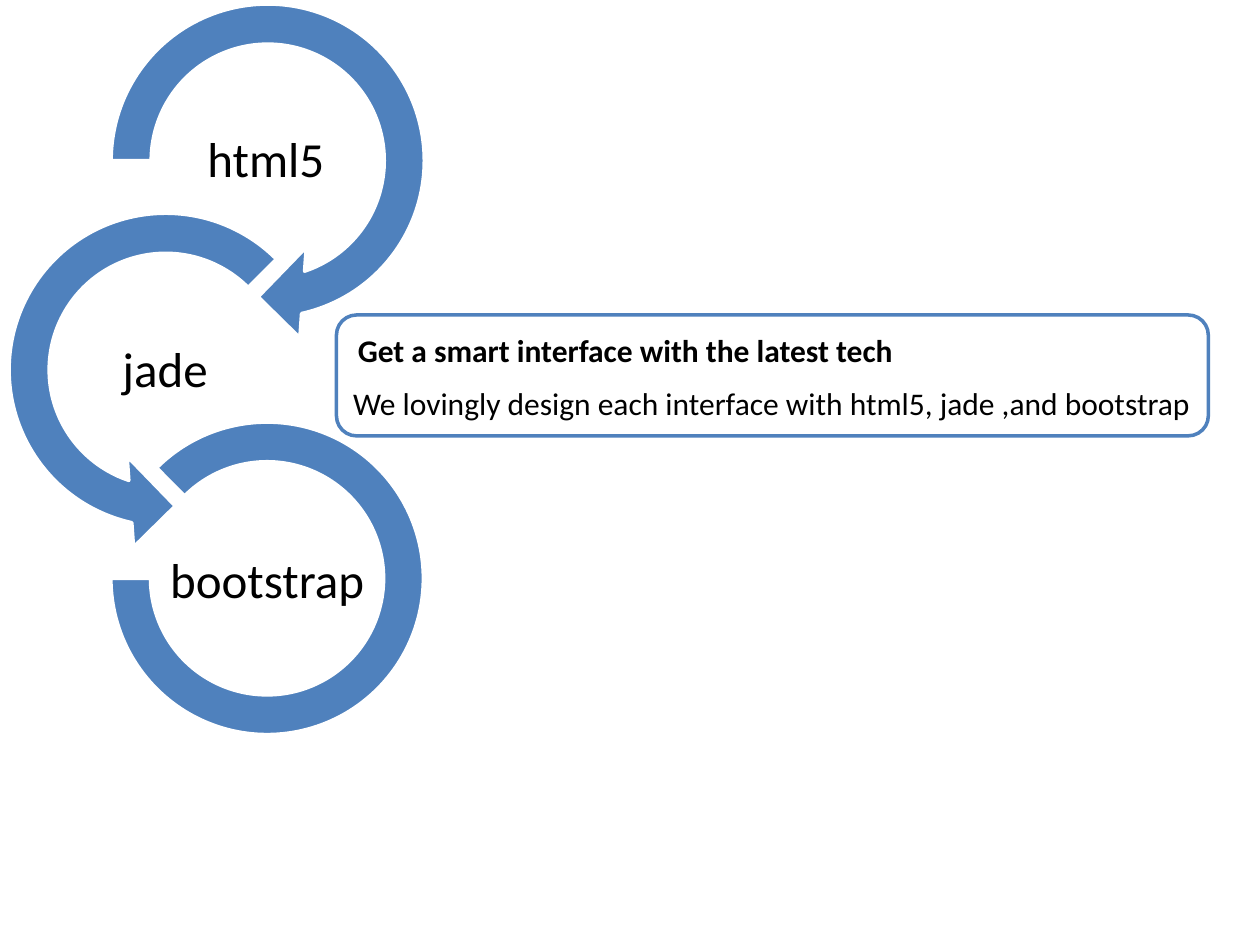
"""Build a slide with three linked circular arrows and a callout about the interface."""
from pptx import Presentation
from pptx.dml.color import RGBColor
from pptx.enum.shapes import MSO_SHAPE as Preset
from pptx.enum.text import MSO_ANCHOR as Anchor, MSO_AUTO_SIZE as AutoSize, PP_ALIGN as Align
from pptx.util import Inches, Pt

BLUE = RGBColor(0x4F, 0x81, 0xBD)
WHITE = RGBColor(0xFF, 0xFF, 0xFF)
BLACK = RGBColor(0x00, 0x00, 0x00)

presentation = Presentation()
presentation.slide_width = Inches(10)
presentation.slide_height = Inches(7.5)
slide = presentation.slides.add_slide(presentation.slide_layouts[6])


def add_shape(preset, position, fill, line, adjustments=()):
    shape = slide.shapes.add_shape(preset, *map(Inches, position))
    shape.shadow.inherit = False
    shape.fill.solid()
    shape.fill.fore_color.rgb = fill
    shape.line.color.rgb = line
    shape.line.width = Pt(2)
    for index, value in enumerate(adjustments):
        shape.adjustments[index] = value


def add_text(text, position, size=18, bold=False, anchor=Anchor.TOP,
             inset=None, line_spacing=None, auto_size=AutoSize.NONE):
    frame = slide.shapes.add_textbox(*map(Inches, position)).text_frame
    frame.word_wrap = True
    frame.auto_size = auto_size
    frame.vertical_anchor = anchor
    if inset is not None:
        frame.margin_left = frame.margin_right = Inches(inset)
        frame.margin_top = frame.margin_bottom = Inches(inset)
    paragraph = frame.paragraphs[0]
    paragraph.alignment = Align.CENTER
    paragraph.line_spacing = line_spacing
    run = paragraph.add_run()
    run.text = text
    run.font.name = "Calibri"
    run.font.size = Pt(size)
    run.font.bold = bold
    run.font.color.rgb = BLACK


add_shape(Preset.ROUNDED_RECTANGLE, (2.67, 2.5, 6.92, 0.96), WHITE, BLUE)
add_text("Get a smart interface with the latest tech", (2.58, 2.58, 4.77, 0.4),
         bold=True, auto_size=AutoSize.SHAPE_TO_FIT_TEXT)
add_text("We lovingly design each interface with html5, jade ,and bootstrap",
         (2.5, 3, 7.25, 0.4), auto_size=AutoSize.SHAPE_TO_FIT_TEXT)

steps = [
    ("html5", Preset.CIRCULAR_ARROW, (0.68, -0.17, 2.89, 2.89),
     (0.11, 11.423, 45, 108, 0.125), (1.31, 0.88)),
    ("jade", Preset.LEFT_CIRCULAR_ARROW, (-0.13, 1.49, 2.89, 2.89),
     (0.11, 11.423, 63, 189, 0.125), (0.51, 2.55)),
    ("bootstrap", Preset.BLOCK_ARC, (0.88, 3.35, 2.48, 2.48),
     (135, 108, 0.127), (1.32, 4.22)),
]
for label, preset, ring_position, adjustments, label_corner in steps:
    add_shape(preset, ring_position, BLUE, WHITE, adjustments)
    add_text(label, (*label_corner, 1.6, 0.8), size=28, anchor=Anchor.MIDDLE,
             inset=0.02, line_spacing=0.9)

presentation.save("out.pptx")
